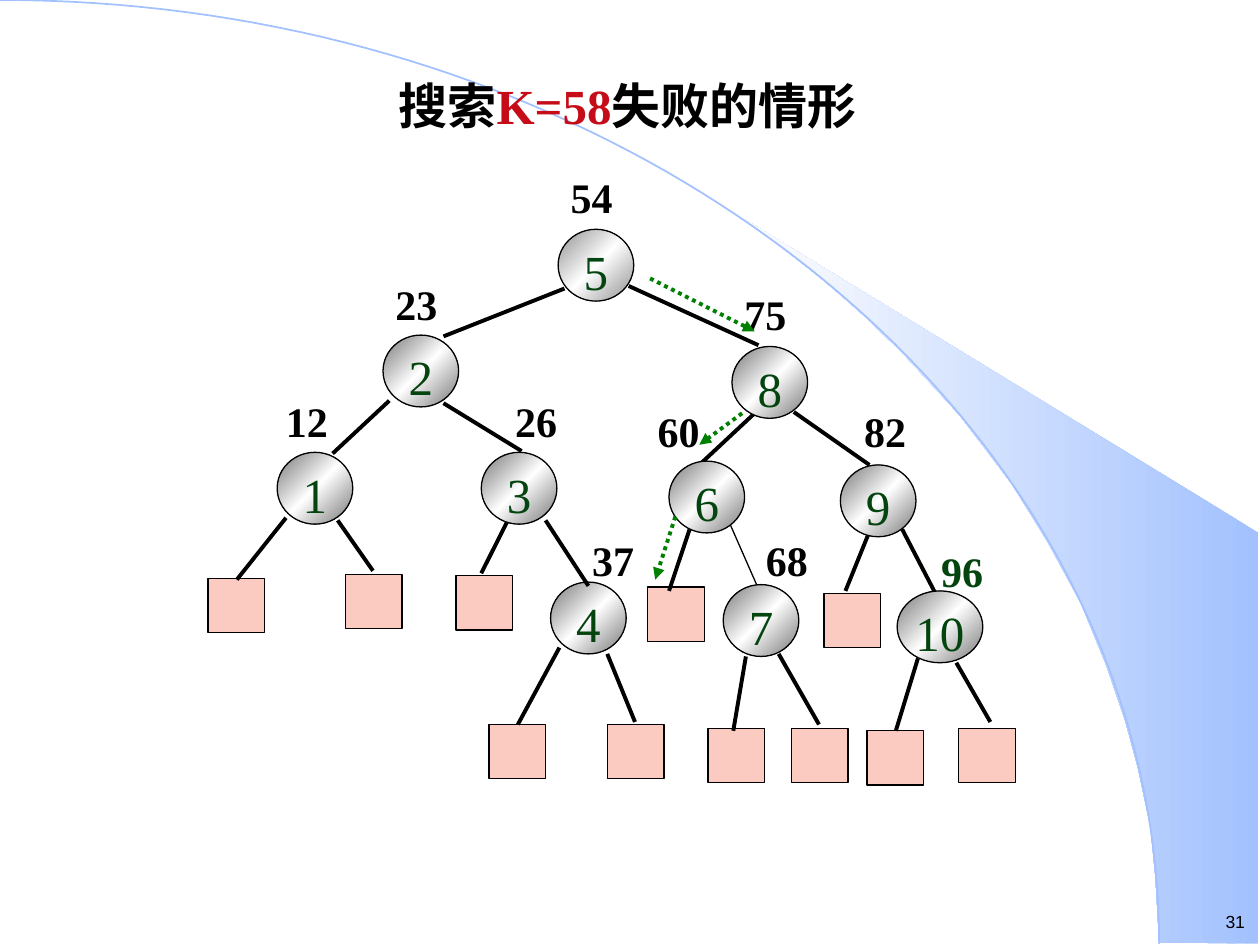
from pptx import Presentation, oxml
from pptx import util as u
from pptx.dml.color import RGBColor
from pptx.enum import dml, shapes, text
from pptx.oxml.ns import nsdecls, qn

IN = u.Inches
SERIF, SANS = "Times New Roman", "Arial"
C = {
    "ink": "000000", "red": "C60C19", "number": "04440F", "path": "008000",
    "leaf": "FBCBC1", "white": "FFFFFF", "steel": "757575", "silver": "8F8F8F",
    "sky": "A2C1FE", "pale": "FEFEFE",
}

# All tree positions are offsets in inches from the corner of the tree's box.
# number: (x, y, width, key, key x, key y)
NODES = {
    4: (2.77, 3.32, 0.6, 37, 3.0, 2.89),
    5: (2.83, 0.52, 0.6, 54, 2.83, 0.01),
    2: (1.44, 1.36, 0.6, 23, 1.44, 0.86),
    8: (4.21, 1.45, 0.6, 75, 4.21, 0.94),
    1: (0.6, 2.29, 0.6, 12, 0.57, 1.79),
    3: (2.22, 2.29, 0.6, 26, 2.39, 1.79),
    6: (3.71, 2.36, 0.6, 60, 3.52, 1.87),
    9: (5.07, 2.39, 0.6, 82, 5.16, 1.87),
    7: (4.14, 3.34, 0.6, 68, 4.38, 2.89),
    10: (5.52, 3.39, 0.68, 96, 5.77, 2.98),
}
LEAVES = [
    (0.05, 3.29), (1.14, 3.26), (2.02, 3.27), (3.54, 3.36), (4.94, 3.41),
    (2.28, 4.45), (3.22, 4.45), (4.02, 4.48), (4.68, 4.48), (5.28, 4.5),
    (6.01, 4.48),
]
# x1, y1, x2, y2: left and right branch of each node
EDGES = [
    (2.88, 0.99, 1.92, 1.37), (3.39, 0.97, 4.42, 1.44),  # 5
    (1.49, 1.88, 1.04, 2.3), (1.92, 1.9, 2.54, 2.28),    # 2
    (4.4, 1.97, 3.95, 2.39), (4.7, 1.97, 5.3, 2.39),     # 8
    (0.67, 2.81, 0.28, 3.3), (1.08, 2.83, 1.36, 3.23),   # 1
    (2.43, 2.83, 2.22, 3.25), (2.73, 2.83, 3.07, 3.35),  # 3
    (3.88, 2.88, 3.71, 3.39),                            # 6, left
    (5.3, 2.92, 5.11, 3.39), (5.56, 2.9, 5.84, 3.44),    # 9
    (2.84, 3.84, 2.51, 4.45), (3.22, 3.89, 3.44, 4.43),  # 4
    (4.32, 3.91, 4.22, 4.5), (4.58, 3.89, 4.9, 4.45),    # 7
    (5.69, 3.91, 5.51, 4.5), (5.99, 3.96, 6.26, 4.43),   # 10
]
THIN_EDGE = (4.19, 2.85, 4.44, 3.42)                     # 6, right
SEARCH_STEPS = [
    (3.56, 0.91, 4.39, 1.33), (4.29, 1.98, 3.95, 2.23), (3.76, 2.8, 3.6, 3.3),
]
# Offsets of the wedge's outline from its top left corner
WEDGE = [
    (3.31, 5.75), (4.1, 5.76), (4.1, 2.5), (0, 0), (0.35, 0.26), (0.64, 0.49),
    (0.96, 0.77), (1.27, 1.07), (1.73, 1.57), (2.14, 2.11), (2.43, 2.58),
    (2.69, 3.06), (2.89, 3.55), (3.04, 3.99), (3.14, 4.36), (3.24, 4.83),
    (3.28, 5.23),
]


def rgb(name):
    return RGBColor.from_string(C[name])


def set_line(sp, color="ink", width=0.75):
    sp.line.color.rgb = rgb(color)
    sp.line.width = u.Pt(width)


def set_gradient(sp, names, angle):
    """Spread the named colours evenly along a linear gradient."""
    sp.fill.gradient()
    step = 100000 // (len(names) - 1)
    stops = "".join(f'<a:gs pos="{i * step}"><a:srgbClr val="{C[n]}"/></a:gs>'
                    for i, n in enumerate(names))
    spPr = sp._element.spPr
    spPr.replace(spPr.find(qn("a:gradFill")), oxml.parse_xml(
        f'<a:gradFill {nsdecls("a")} rotWithShape="1"><a:gsLst>{stops}</a:gsLst>'
        f'<a:lin ang="{angle * 60000}" scaled="0"/></a:gradFill>'))


def write(sp, runs, size, font=SERIF, bold=False, align=text.PP_ALIGN.LEFT,
          margins=(0.1, 0.05), wrap=True):
    """Fill a shape with one paragraph of (text, colour) runs."""
    tf = sp.text_frame
    tf.word_wrap = wrap
    tf.vertical_anchor = text.MSO_ANCHOR.TOP
    tf.margin_left = tf.margin_right = IN(margins[0])
    tf.margin_top = tf.margin_bottom = IN(margins[1])
    p = tf.paragraphs[0]
    p.alignment = align
    for words, color in runs:
        r = p.add_run()
        r.text = words
        r.font.name, r.font.size, r.font.bold = font, u.Pt(size), bold
        r.font.color.rgb = rgb(color)
    return p


def add_line(s, left, top, ends, color="ink", width=2.25):
    x1, y1, x2, y2 = ends
    cn = s.shapes.add_connector(shapes.MSO_CONNECTOR.STRAIGHT, IN(left + x1),
                                IN(top + y1), IN(left + x2), IN(top + y2))
    set_line(cn, color, width)
    cn._element.spPr.append(oxml.parse_xml(f'<a:effectLst {nsdecls("a")}/>'))
    return cn


def add_outline(s, points, close):
    fb = s.shapes.build_freeform(IN(points[0][0]), IN(points[0][1]))
    fb.add_line_segments([(IN(x), IN(y)) for x, y in points[1:]], close=close)
    sp = fb.convert_to_shape()
    sp.shadow.inherit = False
    return sp


def add_backdrop(s, left, top, width, height):
    # Shaded wedge at the right
    wedge = add_outline(s, [(left + 5.89 + x, top + 1.73 + y) for x, y in WEDGE], True)
    set_gradient(wedge, ["sky", "pale"], 180)
    wedge.line.fill.background()
    # Quarter arc, sampled from a cubic curve
    steps = 80
    curve = []
    for t in (i / steps for i in range(steps + 1)):
        x = 3 * (1 - t) ** 2 * t * 0.552 + 3 * (1 - t) * t ** 2 + t ** 3
        y = 3 * (1 - t) * t ** 2 * 0.448 + t ** 3
        curve.append((left + width * x, top + height * y))
    arc = add_outline(s, curve, False)
    arc.fill.background()
    set_line(arc, "sky", 1)


def add_title(s, left, top, width, height):
    tb = s.shapes.add_textbox(IN(left), IN(top), IN(width), IN(height))
    p = write(tb, [("搜索", "ink"), ("K=58", "red"), ("失败的情形", "ink")], 28,
              bold=True, align=text.PP_ALIGN.CENTER)
    p.line_spacing = 0.9


def add_page_number(s, left, top, width, height):
    tb = s.shapes.add_textbox(IN(left), IN(top), IN(width), IN(height))
    write(tb, [("31", "ink")], 10, SANS, align=text.PP_ALIGN.RIGHT, margins=(0.02, 0.05))


def add_node(s, left, top, number):
    x, y, width = NODES[number][:3]
    sp = s.shapes.add_shape(shapes.MSO_SHAPE.OVAL, IN(left + x), IN(top + y),
                            IN(width), IN(0.57))
    sp.shadow.inherit = False
    edge = "silver" if number == 5 else "steel"
    set_gradient(sp, [edge, "white", edge], 225)
    set_line(sp)
    write(sp, [(str(number), "number")], 28, align=text.PP_ALIGN.CENTER,
          margins=(0.02, 0.01))


def add_tree(s, left, top):
    # Node 4 lies under the branch that reaches it
    add_node(s, left, top, 4)
    # Failure leaves
    for x, y in LEAVES:
        sp = s.shapes.add_shape(shapes.MSO_SHAPE.RECTANGLE, IN(left + x), IN(top + y),
                                IN(0.45), IN(0.43))
        sp.shadow.inherit = False
        sp.fill.solid()
        sp.fill.fore_color.rgb = rgb("leaf")
        set_line(sp)
    # Branches
    for ends in EDGES:
        add_line(s, left, top, ends)
    add_line(s, left, top, THIN_EDGE, width=0.75)
    # Other nodes, then the keys
    for number in NODES:
        if number != 4:
            add_node(s, left, top, number)
    for _, _, _, key, x, y in NODES.values():
        tb = s.shapes.add_textbox(IN(left + x), IN(top + y), IN(0.61), IN(0.5))
        write(tb, [(str(key), "number" if key == 96 else "ink")], 24, bold=True, wrap=False)
    # Search path
    for ends in SEARCH_STEPS:
        cn = add_line(s, left, top, ends, "path")
        cn.line.dash_style = dml.MSO_LINE.ROUND_DOT
        cn.line._get_or_add_ln().append(
            oxml.parse_xml(f'<a:tailEnd {nsdecls("a")} type="triangle"/>'))


def main():
    prs = Presentation()
    prs.slide_width, prs.slide_height = IN(10), IN(7.5)
    s = prs.slides.add_slide(prs.slide_layouts[6])
    add_backdrop(s, 0, 0, 9.2, 7.49)
    add_page_number(s, 9.41, 7.18, 0.49, 0.27)
    add_title(s, 1.14, 0.6, 7.68, 0.55)
    add_tree(s, 1.6, 1.3)
    prs.save("out.pptx")


if __name__ == "__main__":
    main()
